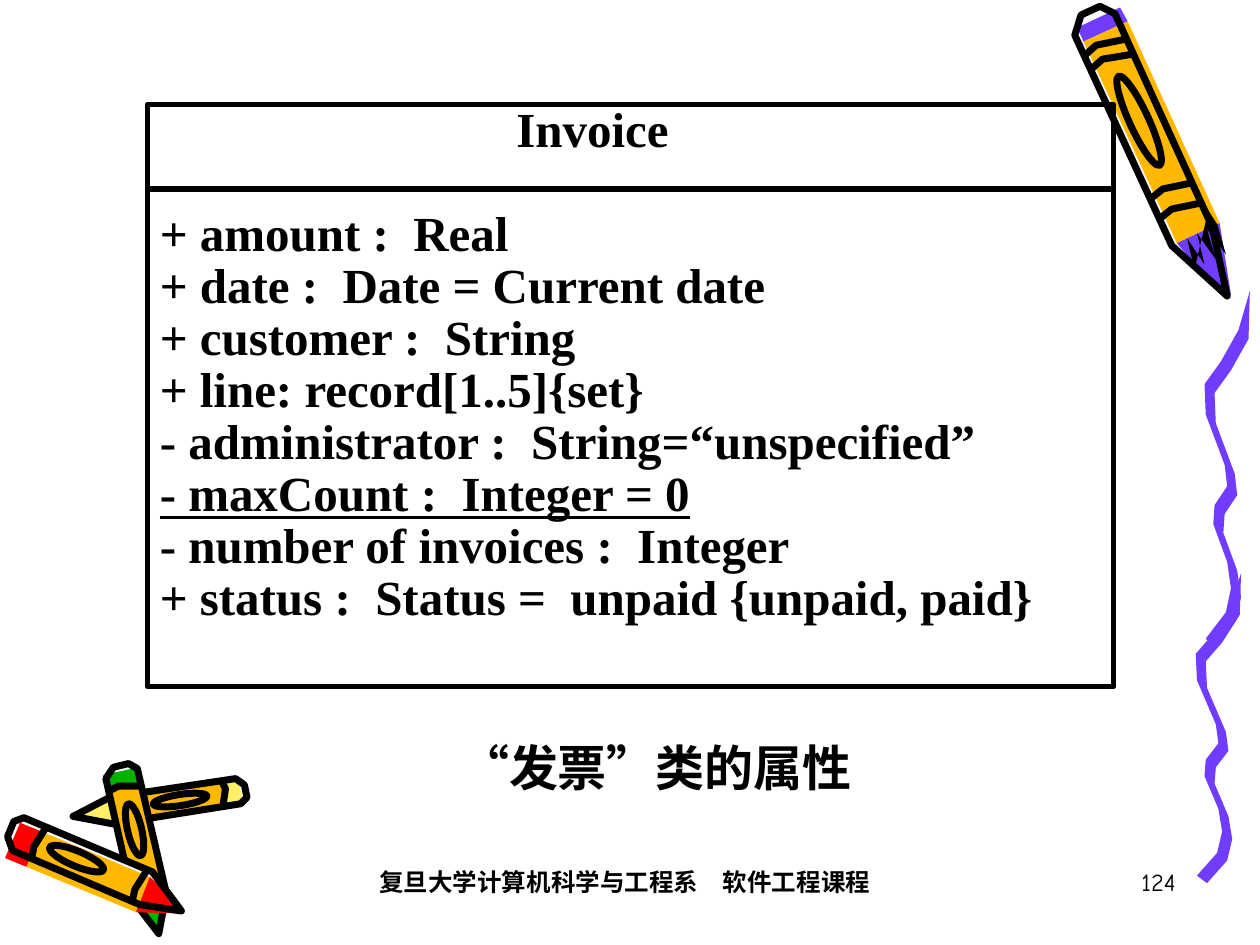
import math
from dataclasses import dataclass
from typing import NamedTuple, Optional

from lxml import etree
from pptx import Presentation, util as u
from pptx.dml.color import RGBColor
from pptx.enum import shapes, text
from pptx.oxml.ns import qn

COLUMNS, ROWS = 1000, 750
CELL = u.Inches(0.01)


@dataclass(frozen=True)
class Theme:
    black: str = "000000"
    white: str = "F8F8F8"
    violet: str = "703DFF"
    orange: str = "FFB800"
    yellow: str = "FFEF66"
    red: str = "FF0000"
    green: str = "00B200"
    serif: str = "Times New Roman"
    casual: str = "Comic Neue"
    body_size: float = 28
    footer_size: float = 14
    frame_stroke: float = 3
    crayon_stroke: float = 4
    leading: float = 29.7


class Area(NamedTuple):
    column: float
    row: float
    columns: float
    rows: float


class Point(NamedTuple):
    column: float
    row: float


class Attribute(NamedTuple):
    wording: str
    underline: bool = False


@dataclass(frozen=True)
class Crayon:
    tail: Point
    tip: Point
    width: float
    colour: str
    bands: tuple[float, ...]
    slip: float = 0
    cap: float = 0.12
    shoulder: float = 0.78
    jagged: bool = False

    @property
    def run(self) -> Point:
        return Point(self.tip.column - self.tail.column, self.tip.row - self.tail.row)

    @property
    def length(self) -> float:
        return math.hypot(*self.run)

    def at(self, along: float, across: float) -> Point:
        run, side = self.run, across * self.width / self.length
        return Point(self.tail.column + along * run.column + side * run.row,
                     self.tail.row + along * run.row - side * run.column)

    def trace(self, *places: tuple[float, float]) -> list[Point]:
        return [self.at(along, across) for along, across in places]

    def barrel(self, start: float, stop: float) -> list[Point]:
        return self.trace((start, -0.5), (start, 0.5), (stop, 0.5), (stop, -0.5))

    def cone(self) -> list[Point]:
        return self.trace((self.shoulder, -0.5), (self.shoulder, 0.5), (1, 0.08), (1, -0.08))

    def silhouette(self) -> list[Point]:
        left, right = self.slip - 0.47, self.slip + 0.47
        return self.trace((0.05, left), (0, left + 0.3), (0, right - 0.2), (0.04, right),
                          (self.shoulder, right), (1, 0), (self.shoulder, left))

    def band(self, along: float) -> list[Point]:
        return self.trace((along, self.slip - 0.47), (along - 0.015, self.slip - 0.15),
                          (along + 0.01, self.slip + 0.47))

    def jag(self) -> list[Point]:
        teeth = [(self.shoulder + 0.1 * (step % 2), 0.45 - 0.12 * step) for step in range(8)]
        return self.trace((self.shoulder - 0.05, 0.4), *teeth)


THEME = Theme()
FRAME = Area(117, 83, 767, 462)
DIVIDER_ROW = 150
CAPTION = Area(258, 576, 525, 65)
FOOTER = Area(200, 683, 592, 50)
NUMBER = Area(735, 683, 208, 50)

LARGE_CRAYON = Crayon(Point(869, 7), Point(974, 235), 38, THEME.violet, (0.12, 0.17, 0.62, 0.69),
                      slip=-0.14, cap=0.08, jagged=True)
SMALL_CRAYONS = [
    Crayon(Point(195, 627), Point(58, 648), 22, THEME.yellow, (0.13,)),
    Crayon(Point(95, 608), Point(126, 741), 28, THEME.green, (0.13,)),
    Crayon(Point(6, 665), Point(144, 723), 30, THEME.red, (0.16, 0.74), slip=0.2, cap=0.15),
]

RIBBON_NIB = Point(4, 3)
RIBBON_BENDS = [Point(36, 0), Point(31, 30), Point(17, 52), Point(4, 67), Point(5, 88), Point(20, 123),
                Point(22, 138), Point(12, 151), Point(11, 164), Point(22, 190), Point(25, 208),
                Point(21, 225), Point(5, 243)]

ATTRIBUTES = [
    Attribute("+ amount :  Real"),
    Attribute("+ date :  Date = Current date"),
    Attribute("+ customer :  String"),
    Attribute("+ line: record[1..5]{set}"),
    Attribute("- administrator :  String=“unspecified”"),
    Attribute("- maxCount :  Integer = 0", underline=True),
    Attribute("- number of invoices :  Integer"),
    Attribute("+ status :  Status =  unpaid {unpaid, paid}"),
]


def cells(count: float) -> int:
    return int(count * CELL)


def colour_of(value: str) -> RGBColor:
    return RGBColor.from_string(value)


def finish(shape, *, fill: Optional[str] = None, stroke: Optional[float] = None) -> None:
    shape.shadow.inherit = False
    if fill:
        shape.fill.solid()
        shape.fill.fore_color.rgb = colour_of(fill)
    else:
        shape.fill.background()
    if stroke:
        shape.line.color.rgb = colour_of(THEME.black)
        shape.line.width = u.Pt(stroke)
    else:
        shape.line.fill.background()


def draw_path(canvas, points: list[Point], *, closed: bool = True, **style) -> None:
    builder = canvas.build_freeform(*points[0], scale=float(CELL))
    builder.add_line_segments(points[1:], close=closed)
    finish(builder.convert_to_shape(), **style)


def draw_crayon(canvas, crayon: Crayon) -> None:
    draw_path(canvas, crayon.silhouette(), fill=THEME.white)
    draw_path(canvas, crayon.barrel(0.03, crayon.cap), fill=crayon.colour)
    draw_path(canvas, crayon.barrel(crayon.cap, crayon.shoulder), fill=THEME.orange)
    draw_path(canvas, crayon.cone(), fill=crayon.colour)
    draw_path(canvas, crayon.silhouette(), stroke=THEME.crayon_stroke)
    for along in crayon.bands:
        draw_path(canvas, crayon.band(along), closed=False, stroke=THEME.crayon_stroke)
    if crayon.jagged:
        draw_path(canvas, crayon.jag(), fill=THEME.black)
    centre = crayon.at(0.38, crayon.slip)
    wide, high = 0.31 * crayon.length, 0.4 * crayon.width
    label = canvas.add_shape(shapes.MSO_SHAPE.OVAL, *map(cells, Area(
        centre.column - wide / 2, centre.row - high / 2, wide, high)))
    label.rotation = math.degrees(math.atan2(crayon.run.row, crayon.run.column))
    finish(label, stroke=THEME.crayon_stroke)


def draw_ribbon(canvas, column: float, row: float, stretch: float = 1) -> None:
    def edge(side: int) -> list[Point]:
        return [Point(column + bend.column + side * RIBBON_NIB.column,
                      row + (bend.row + side * RIBBON_NIB.row) * stretch) for bend in RIBBON_BENDS[1:]]

    top = Point(column + RIBBON_BENDS[0].column, row)
    draw_path(canvas, [top, *edge(1), *reversed(edge(-1))], fill=THEME.violet)


def write(para, wording: str, *, size: float = THEME.body_size, font: str = THEME.serif,
          bold: bool = True, underline: bool = False, align=text.PP_ALIGN.LEFT) -> None:
    para.alignment = align
    span = para.add_run()
    span.text = wording
    span.font.size = u.Pt(size)
    span.font.name = font
    span.font.bold = bold
    span.font.underline = underline
    span.font.color.rgb = colour_of(THEME.black)


def draw_text(canvas, area: Area, wording: str, **style) -> None:
    box = canvas.add_textbox(*map(cells, area))
    box.text_frame.word_wrap = True
    write(box.text_frame.paragraphs[0], wording, size=THEME.footer_size, font=THEME.casual, **style)


def draw_class(canvas, name: str, attributes: list[Attribute]) -> None:
    box = canvas.add_shape(shapes.MSO_SHAPE.RECTANGLE, *map(cells, FRAME))
    finish(box, stroke=THEME.frame_stroke)
    frame = box.text_frame
    frame.word_wrap = False
    frame.vertical_anchor = text.MSO_ANCHOR.TOP
    frame.margin_top = cells(1)
    heading = frame.paragraphs[0]
    write(heading, name)
    heading._p.get_or_add_pPr().set("marL", str(cells(283)))
    heading.space_after = u.Pt(THEME.leading)
    for attribute in attributes:
        write(frame.add_paragraph(), attribute.wording, underline=attribute.underline)
    for para in frame.paragraphs:
        para.line_spacing = u.Pt(THEME.leading)
    ends = (FRAME.column, DIVIDER_ROW, FRAME.column + FRAME.columns, DIVIDER_ROW)
    divider = canvas.add_connector(shapes.MSO_CONNECTOR.STRAIGHT, *map(cells, ends))
    divider.line.color.rgb = colour_of(THEME.black)
    divider.line.width = u.Pt(THEME.frame_stroke)
    etree.SubElement(divider._element.spPr, qn("a:effectLst"))


def place_title(title, area: Area, wording: str) -> None:
    title.left, title.top, title.width, title.height = map(cells, area)
    title.text_frame.vertical_anchor = text.MSO_ANCHOR.MIDDLE
    write(title.text_frame.paragraphs[0], wording, align=text.PP_ALIGN.CENTER)


def main() -> None:
    deck = Presentation()
    deck.slide_width, deck.slide_height = cells(COLUMNS), cells(ROWS)
    page = deck.slides.add_slide(deck.slide_layouts[5])
    for crayon in (LARGE_CRAYON, *SMALL_CRAYONS):
        draw_crayon(page.shapes.add_group_shape().shapes, crayon)
    draw_ribbon(page.shapes, 949, 455)
    draw_ribbon(page.shapes, 956, 231, stretch=1.15)
    draw_class(page.shapes, "Invoice", ATTRIBUTES)
    place_title(page.shapes.title, CAPTION, "“发票”类的属性")
    draw_text(page.shapes, FOOTER, "复旦大学计算机科学与工程系　软件工程课程", align=text.PP_ALIGN.CENTER)
    draw_text(page.shapes, NUMBER, "124", bold=False, align=text.PP_ALIGN.RIGHT)
    deck.save("out.pptx")


if __name__ == "__main__":
    main()
